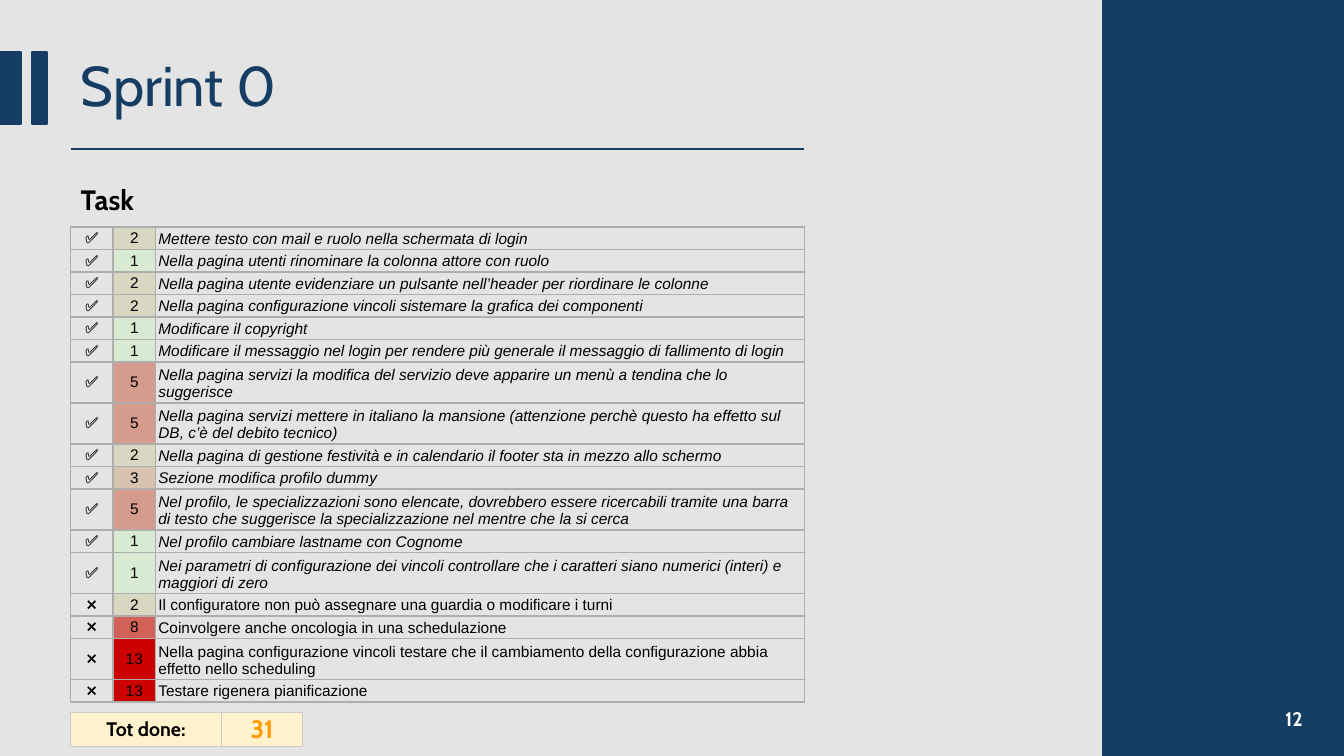
from dataclasses import dataclass
from typing import Optional

from lxml import etree
from pptx import Presentation
from pptx.dml.color import RGBColor
from pptx.enum.shapes import MSO_CONNECTOR, MSO_SHAPE
from pptx.enum.text import MSO_ANCHOR, MSO_AUTO_SIZE, PP_ALIGN
from pptx.oxml.ns import qn
from pptx.util import Cm, Pt

RECTANGLE = MSO_SHAPE.RECTANGLE
STRAIGHT = MSO_CONNECTOR.STRAIGHT
MIDDLE, BOTTOM, TOP = MSO_ANCHOR.MIDDLE, MSO_ANCHOR.BOTTOM, MSO_ANCHOR.TOP
LEFT, CENTER, RIGHT = PP_ALIGN.LEFT, PP_ALIGN.CENTER, PP_ALIGN.RIGHT
NO_AUTOFIT = MSO_AUTO_SIZE.NONE


@dataclass(frozen=True)
class Style:
    size: float
    color: str
    font: str = "Cabin"
    bold: bool = False
    italic: bool = False


@dataclass(frozen=True)
class Theme:
    background: str = "E4E4E4"
    navy: str = "163E64"
    grid: str = "AEAEAE"
    total_grid: str = "CCCCCC"
    total_fill: str = "FFF2CC"
    line: float = 1.5
    title: Style = Style(40, "163E64")
    heading: Style = Style(20, "000000", bold=True)
    page_number: Style = Style(14, "FFFFFF", bold=True)
    task: Style = Style(11, "000000", "Arial")
    done_task: Style = Style(11, "000000", "Arial", italic=True)
    total_label: Style = Style(14, "000000", bold=True)
    total_value: Style = Style(18, "FF9900", bold=True)


@dataclass(frozen=True)
class Area:
    left: float
    top: float
    width: float
    height: float

    def lengths(self) -> tuple:
        return Cm(self.left), Cm(self.top), Cm(self.width), Cm(self.height)


@dataclass(frozen=True)
class Task:
    points: int
    text: str
    lines: int = 1
    done: bool = True


THEME = Theme()
POINT_FILLS = {1: "D9EAD3", 2: "D8D7C2", 3: "D7C3B0", 5: "D59C8D", 8: "D26258", 13: "CC0000"}
ROW_HEIGHTS = {1: 0.55, 2: 0.97}
TASK_COLUMNS = (1.07, 1.07, 16.35)
TOTAL_COLUMNS = (3.8, 2.05)
MARGIN = 1.78
CONTENT_WIDTH = sum(TASK_COLUMNS)
BARS = (
    Area(0, 1.31, 0.53, 1.81),
    Area(0.8, 1.31, 0.39, 1.81),
    Area(27.8, 0, 6.07, 19.05),
)
TASKS = (
    Task(2, "Mettere testo con mail e ruolo nella schermata di login"),
    Task(1, "Nella pagina utenti rinominare la colonna attore con ruolo"),
    Task(2, "Nella pagina utente evidenziare un pulsante nell’header per riordinare le colonne"),
    Task(2, "Nella pagina configurazione vincoli sistemare la grafica dei componenti"),
    Task(1, "Modificare il copyright"),
    Task(1, "Modificare il messaggio nel login per rendere più generale il messaggio di fallimento di login"),
    Task(5, "Nella pagina servizi la modifica del servizio deve apparire un menù a tendina che lo "
            "suggerisce", lines=2),
    Task(5, "Nella pagina servizi mettere in italiano la mansione (attenzione perchè questo ha effetto "
            "sul DB, c’è del debito tecnico)", lines=2),
    Task(2, "Nella pagina di gestione festività e in calendario il footer sta in mezzo allo schermo"),
    Task(3, "Sezione modifica profilo dummy"),
    Task(5, "Nel profilo, le specializzazioni sono elencate, dovrebbero essere ricercabili tramite una "
            "barra di testo che suggerisce la specializzazione nel mentre che la si cerca", lines=2),
    Task(1, "Nel profilo cambiare lastname con Cognome"),
    Task(1, "Nei parametri di configurazione dei vincoli controllare che i caratteri siano numerici "
            "(interi) e maggiori di zero", lines=2),
    Task(2, "Il configuratore non può assegnare una guardia o modificare i turni", done=False),
    Task(8, "Coinvolgere anche oncologia in una schedulazione", done=False),
    Task(13, "Nella pagina configurazione vincoli testare che il cambiamento della configurazione abbia "
             "effetto nello scheduling", lines=2, done=False),
    Task(13, "Testare rigenera pianificazione", done=False),
)


def write(frame, text: str, style: Style, align=LEFT) -> None:
    para = frame.paragraphs[0]
    para.alignment = align
    span = para.add_run()
    span.text = text
    span.font.name = style.font
    span.font.size = Pt(style.size)
    span.font.bold = style.bold
    span.font.italic = style.italic
    span.font.color.rgb = RGBColor.from_string(style.color)


def add_text(page, area: Area, text: str, style: Style, align=LEFT, anchor=TOP) -> None:
    frame = page.shapes.add_textbox(*area.lengths()).text_frame
    frame.word_wrap = True
    frame.vertical_anchor = anchor
    write(frame, text, style, align)


def set_title(page, area: Area, text: str) -> None:
    title = page.shapes.title
    title.left, title.top, title.width, title.height = area.lengths()
    frame = title.text_frame
    frame.auto_size = NO_AUTOFIT
    frame.vertical_anchor = MIDDLE
    write(frame, text, THEME.title)
    frame.paragraphs[0].line_spacing = 0.9


def add_bar(page, area: Area) -> None:
    bar = page.shapes.add_shape(RECTANGLE, *area.lengths())
    bar.shadow.inherit = False
    navy = RGBColor.from_string(THEME.navy)
    bar.fill.solid()
    bar.fill.fore_color.rgb = navy
    bar.line.color.rgb = navy
    bar.line.width = Pt(THEME.line)


def add_rule(page, left: float, top: float, width: float) -> None:
    rule = page.shapes.add_connector(STRAIGHT, Cm(left), Cm(top), Cm(left + width), Cm(top))
    rule.line.color.rgb = RGBColor.from_string(THEME.navy)
    rule.line.width = Pt(THEME.line)
    etree.SubElement(rule._element.spPr, qn("a:effectLst"))


def add_grid(page, left: float, top: float, columns: tuple, rows: list):
    area = Area(left, top, sum(columns), sum(rows))
    table = page.shapes.add_table(len(rows), len(columns), *area.lengths()).table
    table.first_row = False
    table.horz_banding = False
    for column, width in zip(table.columns, columns):
        column.width = Cm(width)
    for row, height in zip(table.rows, rows):
        row.height = Cm(height)
    return table


def fill_cell(cell, text: str, style: Style, grid: str, weight: float,
              fill: Optional[str] = None, align=CENTER, anchor=MIDDLE) -> None:
    cell.margin_left = cell.margin_right = Cm(0.07)
    cell.margin_top = cell.margin_bottom = Cm(0.05)
    cell.vertical_anchor = anchor
    # Borders come before the fill in the cell properties
    properties = cell._tc.get_or_add_tcPr()
    for side in ("lnL", "lnR", "lnT", "lnB"):
        border = etree.SubElement(properties, qn(f"a:{side}"), w=str(Pt(weight)))
        solid = etree.SubElement(border, qn("a:solidFill"))
        etree.SubElement(solid, qn("a:srgbClr"), val=grid)
    if fill:
        cell.fill.solid()
        cell.fill.fore_color.rgb = RGBColor.from_string(fill)
    else:
        cell.fill.background()
    write(cell.text_frame, text, style, align)


def add_tasks(page, top: float) -> None:
    table = add_grid(page, MARGIN, top, TASK_COLUMNS, [ROW_HEIGHTS[task.lines] for task in TASKS])
    for index, task in enumerate(TASKS):
        mark, points, text = table.rows[index].cells
        fill_cell(mark, "✅" if task.done else "❌", THEME.task, THEME.grid, 1)
        fill_cell(points, str(task.points), THEME.task, THEME.grid, 1, POINT_FILLS[task.points])
        fill_cell(text, task.text, THEME.done_task if task.done else THEME.task,
                  THEME.grid, 1, align=LEFT, anchor=BOTTOM)


def add_total(page, top: float) -> None:
    table = add_grid(page, MARGIN, top, TOTAL_COLUMNS, [0.87])
    total = sum(task.points for task in TASKS if task.done)
    contents = (("Tot done:", THEME.total_label), (str(total), THEME.total_value))
    for cell, (text, style) in zip(table.rows[0].cells, contents):
        fill_cell(cell, text, style, THEME.total_grid, 0.75, THEME.total_fill)


def main() -> None:
    deck = Presentation()
    deck.slide_width, deck.slide_height = Cm(33.87), Cm(19.05)
    page = deck.slides.add_slide(deck.slide_layouts[5])
    page.background.fill.solid()
    page.background.fill.fore_color.rgb = RGBColor.from_string(THEME.background)

    # Title and decoration
    set_title(page, Area(MARGIN, 1.31, 21.4, 1.81), "Sprint 0")
    for bar in BARS:
        add_bar(page, bar)
    add_rule(page, MARGIN, 3.76, CONTENT_WIDTH)
    add_text(page, Area(25.46, 17.6, 7.62, 1.02), "12", THEME.page_number, RIGHT, MIDDLE)

    # Task list and total
    add_text(page, Area(MARGIN, 4.47, CONTENT_WIDTH, 1.11), "Task", THEME.heading)
    add_tasks(page, 5.72)
    add_total(page, 17.95)
    deck.save("out.pptx")


if __name__ == "__main__":
    main()
